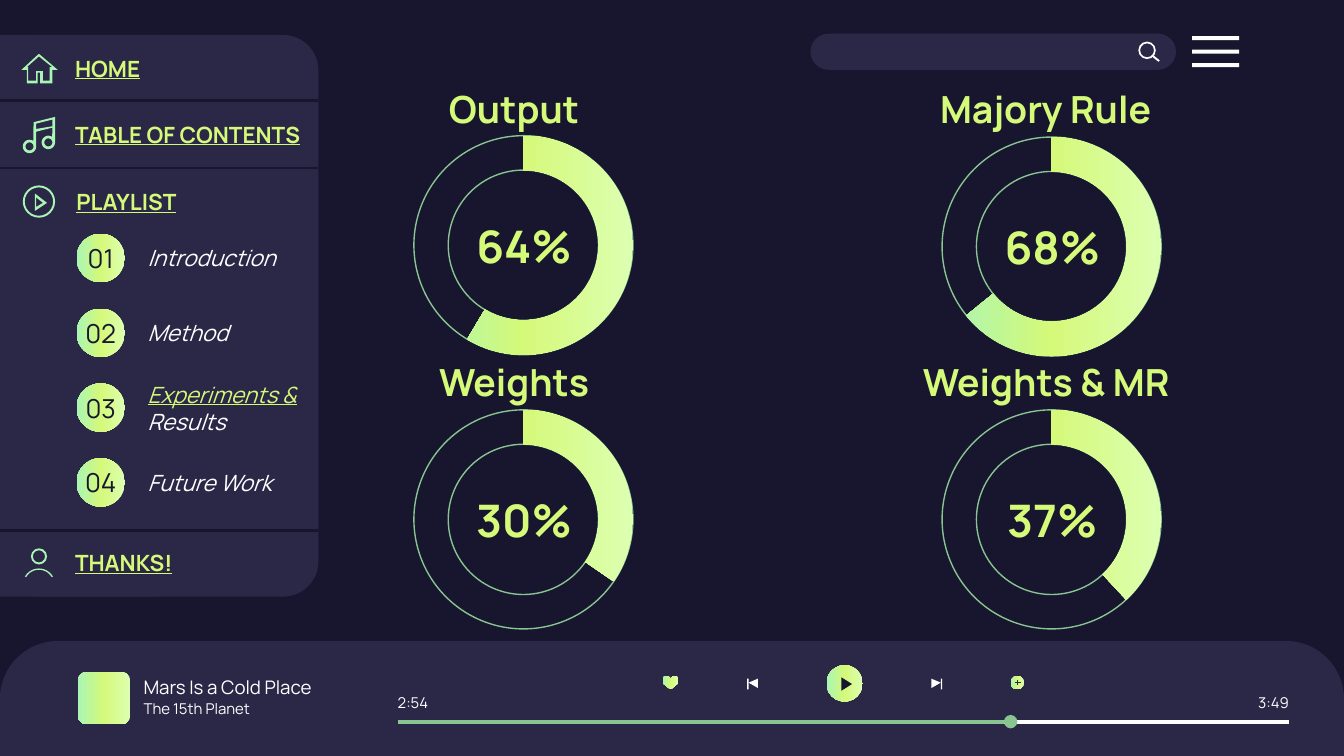
from copy import deepcopy
from dataclasses import dataclass
from math import cos, radians, sin

from pptx import Presentation
from pptx.dml.color import RGBColor
from pptx.enum.shapes import MSO_CONNECTOR as Connector
from pptx.enum.shapes import MSO_SHAPE as Preset
from pptx.enum.text import MSO_ANCHOR as Anchor
from pptx.enum.text import PP_ALIGN as Align
from pptx.oxml.ns import qn
from pptx.util import Inches, Pt
from lxml.etree import SubElement

NIGHT = RGBColor(0x17, 0x16, 0x2E)
PANEL = RGBColor(0x2A, 0x27, 0x47)
LIME = RGBColor(0xD5, 0xF9, 0x79)
PALE = RGBColor(0xDD, 0xFF, 0xB2)
MINT = RGBColor(0xA9, 0xF5, 0xB4)
GREEN = RGBColor(0x88, 0xC5, 0x91)
WHITE = RGBColor(0xFF, 0xFF, 0xFF)
GLOW = (PALE, LIME, MINT)
FONT = "Manrope"
RING_WIDTH = 0.157

Point = tuple[float, float]
Box = tuple[float, float, float, float]


@dataclass
class Words:
    text: str
    size: float
    color: RGBColor = WHITE
    bold: bool = False
    italic: bool = False
    underline: bool = False


@dataclass
class Gauge:
    title: str
    percent: str
    left: float
    top: float
    title_box: Box
    end_angle: float


prs = Presentation()
prs.slide_width = Inches(10)
prs.slide_height = prs.slide_width * 9 // 16
slide = prs.slides.add_slide(prs.slide_layouts[6])
slide.background.fill.solid()
slide.background.fill.fore_color.rgb = NIGHT
shapes = slide.shapes


def paint(shape, fill) -> None:
    shape.shadow.inherit = False
    shape.line.fill.background()
    if fill is None:
        shape.fill.background()
    elif fill is GLOW:
        shape.fill.gradient()
        shape.fill.gradient_angle = 180
        stops = shape.element.spPr.find(qn("a:gradFill")).find(qn("a:gsLst"))
        stops.append(deepcopy(stops[-1]))
        for stop, color, position in zip(shape.fill.gradient_stops, GLOW, (0, 0.5, 1)):
            stop.color.rgb = color
            stop.position = position
    else:
        shape.fill.solid()
        shape.fill.fore_color.rgb = fill


def preset(kind: Preset, box: Box, fill, *adjustments: float):
    shape = shapes.add_shape(kind, *map(Inches, box))
    paint(shape, fill)
    for index, value in enumerate(adjustments):
        shape.adjustments[index] = value
    return shape


def outline(fill, *contours: list[Point]) -> None:
    paths = [[(Inches(x), Inches(y)) for x, y in contour] for contour in contours]
    builder = shapes.build_freeform(*paths[0][0])
    for index, path in enumerate(paths):
        if index:
            builder.move_to(*path[0])
        builder.add_line_segments(path[1:], close=True)
    paint(builder.convert_to_shape(), fill)


def arc(x: float, y: float, radius: float, start: int = 0, end: int = 360) -> list[Point]:
    angles = [radians(start + (end - start) * step / 24) for step in range(25)]
    return [(x + radius * cos(a), y + radius * sin(a)) for a in angles]


def line(start: Point, end: Point, color: RGBColor, width: float) -> None:
    connector = shapes.add_connector(Connector.STRAIGHT, *map(Inches, start + end))
    connector.line.color.rgb = color
    connector.line.width = Pt(width)
    SubElement(connector.element.spPr, qn("a:effectLst"))


def write(shape, runs: list[Words], align: Align = Align.LEFT, side: float = 0.1) -> None:
    frame = shape.text_frame
    frame.word_wrap = True
    frame.vertical_anchor = Anchor.MIDDLE
    frame.margin_left = frame.margin_right = Inches(side)
    frame.margin_top = frame.margin_bottom = Inches(0.1)
    paragraph = frame.paragraphs[0]
    paragraph.alignment = align
    for words in runs:
        run = paragraph.add_run()
        run.text = words.text
        font = run.font
        font.name, font.size, font.color.rgb = FONT, Pt(words.size), words.color
        font.bold, font.italic, font.underline = words.bold, words.italic, words.underline


def label(box: Box, *runs: Words, align: Align = Align.LEFT, side: float = 0.1) -> None:
    write(shapes.add_textbox(*map(Inches, box)), list(runs), align, side)


def draw_gauge(gauge: Gauge) -> None:
    label(gauge.title_box, Words(gauge.title, 20, LIME, bold=True), align=Align.CENTER)
    label((gauge.left + 0.34, gauge.top + 0.55, 0.96, 0.53),
          Words(gauge.percent, 24, LIME, bold=True), align=Align.CENTER)
    box = (gauge.left, gauge.top, 1.63, 1.63)
    ring = preset(Preset.DONUT, box, None, RING_WIDTH)
    ring.line.color.rgb = GREEN
    ring.line.width = Pt(0.75)
    preset(Preset.BLOCK_ARC, box, GLOW, 162, gauge.end_angle * 0.6, RING_WIDTH)


def draw_search() -> None:
    preset(Preset.ROUNDED_RECTANGLE, (6.03, 0.25, 2.72, 0.27), PANEL, 0.5)
    for bar in range(3):
        preset(Preset.RECTANGLE, (8.87, 0.27 + 0.1 * bar, 0.35, 0.03), WHITE)
    preset(Preset.DONUT, (8.47, 0.31, 0.13, 0.13), WHITE, 0.1)
    outline(WHITE, [(8.58, 0.41), (8.57, 0.42), (8.62, 0.46), (8.63, 0.45)])


def draw_player() -> None:
    preset(Preset.ROUND_2_SAME_RECTANGLE, (0, 4.77, 10, 0.86), PANEL, 0.5, 0)
    preset(Preset.ROUNDED_RECTANGLE, (0.58, 5, 0.39, 0.39), GLOW, 0.167)
    label((0.97, 5.03, 1.91, 0.17), Words("Mars Is a Cold Place", 10))
    label((0.97, 5.19, 1.15, 0.17), Words("The 15th Planet", 8))
    label((2.96, 5.14, 0.27, 0.17), Words("2:54", 8), side=0)
    label((9.32, 5.14, 0.27, 0.17), Words("3:49", 8), align=Align.RIGHT, side=0)
    outline(GLOW, arc(4.96, 5.06, 0.03, 150, 300) + [(4.99, 5.05)]
            + arc(5.02, 5.06, 0.03, 240, 390) + [(5.04, 5.09), (4.99, 5.13), (4.94, 5.09)])
    preset(Preset.OVAL, (7.52, 5.03, 0.1, 0.1), GLOW)
    line((7.57, 5.06), (7.57, 5.1), PANEL, 0.75)
    line((7.6, 5.08), (7.55, 5.08), PANEL, 0.75)
    preset(Preset.OVAL, (6.15, 4.95, 0.27, 0.27), GLOW)
    outline(NIGHT, [(6.26, 5.04), (6.26, 5.14), (6.34, 5.09)])
    for bar, base, tip in ((7, 6.93, 7), (5.56, 5.64, 5.57)):
        outline(WHITE, [(base, 5.05), (base, 5.12), (tip, 5.08)])
        preset(Preset.RECTANGLE, (bar, 5.05, 0.01, 0.08), WHITE)
    line((2.96, 5.37), (9.59, 5.37), WHITE, 2.25)
    preset(Preset.OVAL, (7.47, 5.32, 0.1, 0.1), GREEN)
    line((2.96, 5.37), (7.47, 5.37), GREEN, 2.25)


def draw_menu_icons() -> None:
    outline(MINT, [(0.27, 1.47), (0.32, 1.51), (0.27, 1.54)],
            [(0.26, 1.44), (0.26, 1.57), (0.35, 1.51)])
    preset(Preset.DONUT, (0.17, 1.38, 0.24, 0.24), MINT, 0.06)
    outline(MINT,
            [(0.29, 0.42), (0.39, 0.5), (0.37, 0.5), (0.37, 0.6), (0.32, 0.6), (0.32, 0.53),
             (0.27, 0.53), (0.27, 0.6), (0.21, 0.6), (0.21, 0.5), (0.2, 0.5)],
            [(0.29, 0.4), (0.16, 0.52), (0.2, 0.52), (0.2, 0.62), (0.28, 0.62), (0.28, 0.54),
             (0.3, 0.54), (0.3, 0.62), (0.39, 0.62), (0.39, 0.52), (0.43, 0.52)])
    outline(MINT,
            [(0.39, 0.89), (0.39, 0.94), (0.27, 0.96), (0.27, 0.92)],
            arc(0.36, 1.06, 0.03), arc(0.22, 1.09, 0.03),
            [(0.41, 0.87), (0.25, 0.91)] + arc(0.22, 1.09, 0.05, -55, -360)
            + [(0.27, 0.98), (0.39, 0.95)] + arc(0.36, 1.06, 0.05, -55, -360))
    preset(Preset.DONUT, (0.23, 4.08, 0.12, 0.12), MINT, 0.12)
    outline(MINT, arc(0.29, 4.35, 0.12, 210, 330) + arc(0.29, 4.35, 0.11, 330, 210))


def draw_sidebar() -> None:
    preset(Preset.RECTANGLE, (0, 0.26, 1.18, 4.18), PANEL)
    preset(Preset.ROUNDED_RECTANGLE, (0, 0.26, 2.37, 4.18), PANEL, 0.111)
    draw_menu_icons()
    for heading, left, top, width in (
            ("HOME", 0.46, 0.33, 2.08), ("TABLE OF CONTENTS", 0.46, 0.82, 2.08),
            ("PLAYLIST", 0.47, 1.32, 1.3), ("THANKS!", 0.46, 4.01, 2.08)):
        label((left, top, width, 0.36), Words(heading, 12, LIME, bold=True, underline=True))
    chapters = (
        [Words("Introduction", 12, italic=True)],
        [Words("Method", 12, italic=True)],
        [Words("Experiments & ", 12, LIME, italic=True, underline=True),
         Words("Results", 12, italic=True)],
        [Words("Future Work", 12, italic=True)],
    )
    for index, chapter in enumerate(chapters):
        top = 1.74 + 1.67 / 3 * index
        badge = preset(Preset.OVAL, (0.57, top, 0.36, 0.36), GLOW)
        write(badge, [Words(f"{index + 1:02}", 14, NIGHT)], Align.CENTER, 0)
        label((1, top - 0.08, 1.37, 0.52), *chapter)
    for y in (0.75, 1.25, 3.95):
        line((2.37, y), (0, y), NIGHT, 1.5)


GAUGES = (
    Gauge("Majory Rule", "68%", 7.01, 1.02, (6.77, 0.52, 2.02, 0.58), 141.06),
    Gauge("Output", "64%", 3.08, 1.01, (2.98, 0.52, 1.69, 0.58), 120.88),
    Gauge("Weights & MR", "37%", 7.01, 3.05, (6.69, 2.55, 2.19, 0.58), 47.15),
    Gauge("Weights", "30%", 3.08, 3.05, (2.98, 2.55, 1.69, 0.58), 34.56),
)

draw_search()
draw_player()
draw_sidebar()
for gauge in GAUGES:
    draw_gauge(gauge)
prs.save("out.pptx")
